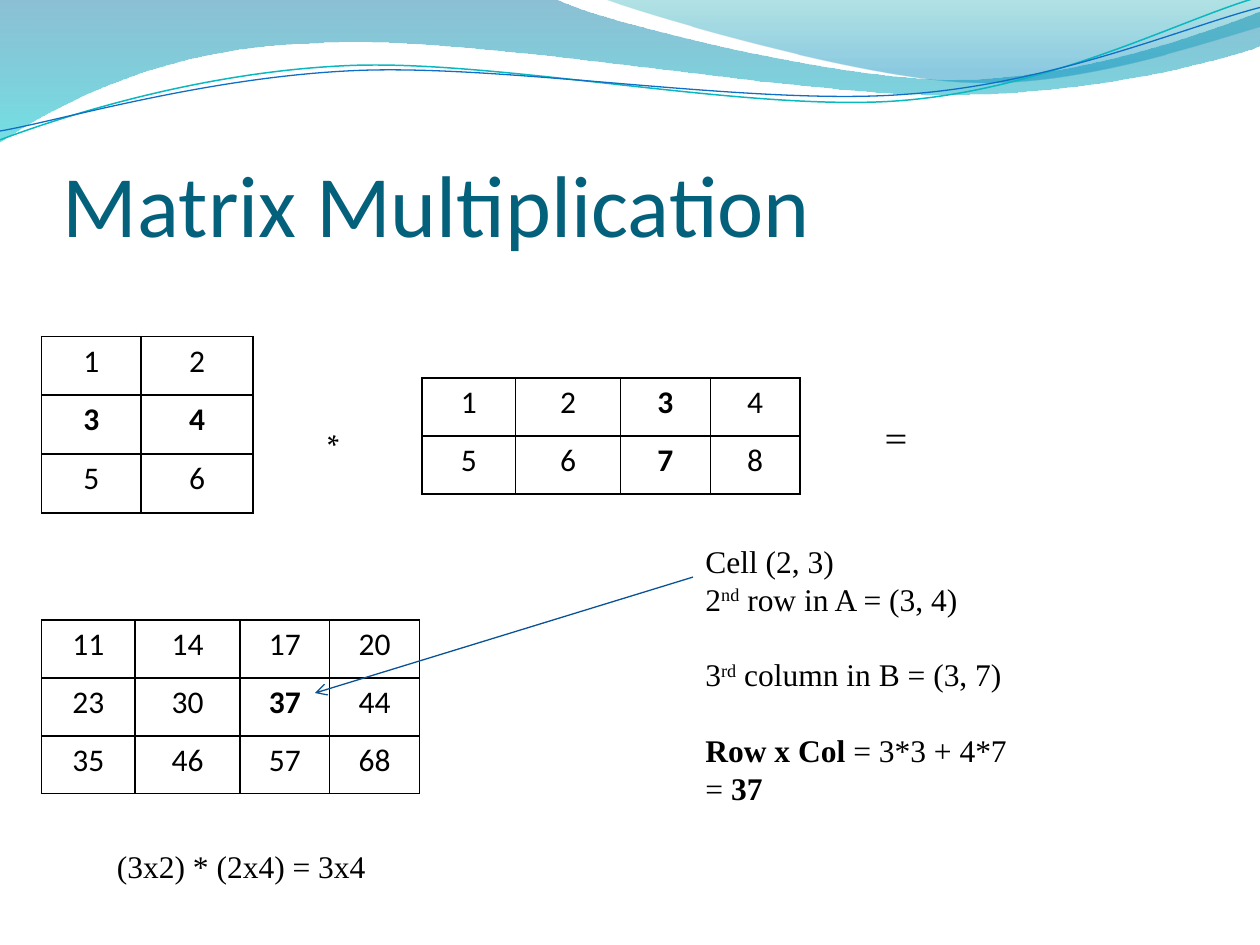
from math import cos, radians, sin

from pptx import Presentation
from pptx.dml.color import RGBColor
from pptx.enum.shapes import MSO_CONNECTOR
from pptx.enum.text import MSO_ANCHOR, MSO_AUTO_SIZE, PP_ALIGN
from pptx.oxml import parse_xml
from pptx.oxml.ns import nsdecls, qn
from pptx.util import Inches, Pt

CURVE_TILT = -2.7
NOTE_FONT = "Times New Roman"
SIGN_FONT = "TeX Gyre Pagella"
NOTE_LINE = Pt(21.6)
WIDE_COLUMNS = [0.74, 0.83, 0.71, 0.71]

# Each outline is a start point, then lines (x, y) and cubic curves (six numbers).
LEFT_WAVE = [
    (0, 0), (4.4, -0.01),
    (4.76, 0.17, 6.64, 0.63, 7.58, 0.63), (8.53, 0.63, 9.58, 0.26, 10, 0.09),
    (10.01, 0.36),
    (9.83, 0.44, 8.7, 0.76, 7.46, 0.75), (6.22, 0.75, 3.82, 0.28, 2.57, 0.34),
    (1.29, 0.36, 0.46, 0.83, -0.01, 1.13), (0, 0),
]
RIGHT_WAVE = [
    (4.79, -0.01),
    (5.09, 0.11, 6.82, 0.62, 7.69, 0.65), (8.56, 0.69, 9.61, 0.32, 10, 0.21),
    (10, 0), (4.79, -0.01),
]
TEAL_CURVE = [
    (0, 1.11),
    (0.48, 0.93, 1.58, 0.57, 2.77, 0.52), (3.95, 0.47, 5.93, 0.89, 7.13, 0.8),
    (8.33, 0.71, 9.38, 0.15, 9.98, -0.02),
]
BLUE_CURVE = [
    (0, 1.04),
    (0.47, 0.96, 1.64, 0.61, 2.83, 0.56), (4.03, 0.51, 5.97, 0.84, 7.17, 0.75),
    (8.36, 0.67, 9.41, 0.21, 10, 0.06),
]


def color(hex_string):
    return RGBColor.from_string(hex_string)


def turn(point, pivot, degrees):
    """Turn a point clockwise about a pivot."""
    angle = radians(degrees)
    x, y = point[0] - pivot[0], point[1] - pivot[1]
    return (pivot[0] + x * cos(angle) - y * sin(angle),
            pivot[1] + x * sin(angle) + y * cos(angle))


def bend_segments(shape, outline):
    """Make each three points of a cubic segment one curve."""
    lines = iter(list(shape._element.iter(qn("a:lnTo"))))
    for segment in outline[1:]:
        first = next(lines)
        if len(segment) == 6:
            curve = parse_xml(f'<a:cubicBezTo {nsdecls("a")}/>')
            first.addprevious(curve)
            for line in (first, next(lines), next(lines)):
                curve.append(line[0])
                line.getparent().remove(line)


def add_outline(slide, outline, close, pivot=(0, 0), tilt=0):
    points = [turn(segment[i:i + 2], pivot, -tilt)
              for segment in outline for i in range(0, len(segment), 2)]
    points = [(Inches(x), Inches(y)) for x, y in points]
    builder = slide.shapes.build_freeform(*points[0])
    builder.add_line_segments(points[1:], close=close)
    shape = builder.convert_to_shape()
    bend_segments(shape, outline)
    shape.rotation = tilt
    shape.shadow.inherit = False
    return shape


def add_wave(slide, outline, stops):
    """Add a filled wave; stops are (position, color, opacity percent)."""
    shape = add_outline(slide, outline, close=True)
    shape.line.fill.background()
    shape.fill.gradient()
    shape.fill.gradient_angle = 270
    for stop, (position, hex_string, _) in zip(shape.fill.gradient_stops, stops):
        stop.position = position
        stop.color.rgb = color(hex_string)
    gradient_colors = shape._element.spPr.iter(qn("a:srgbClr"))
    for element, (_, _, opacity) in zip(gradient_colors, stops):
        element.append(parse_xml(f'<a:alpha {nsdecls("a")} val="{opacity * 1000}"/>'))


def add_curve(slide, outline, pivot, hex_string, width):
    shape = add_outline(slide, outline, False, pivot, CURVE_TILT)
    shape.fill.background()
    shape.line.color.rgb = color(hex_string)
    shape.line.width = Pt(width)


def add_run(paragraph, text, font, size, hex_string="000000", bold=False, raised=False):
    run = paragraph.add_run()
    run.text = text
    run.font.name = font
    run.font.size = Pt(size)
    run.font.bold = bold
    run.font.color.rgb = color(hex_string)
    if raised:
        run.font._element.set("baseline", "30000")


def add_text_box(slide, left, top, width, height):
    box = slide.shapes.add_textbox(Inches(left), Inches(top), Inches(width), Inches(height))
    box.text_frame.word_wrap = False
    box.text_frame.auto_size = MSO_AUTO_SIZE.SHAPE_TO_FIT_TEXT
    return box.text_frame


def add_title(slide, text):
    frame = add_text_box(slide, 0.5, 0.77, 9, 1.25)
    frame.word_wrap = True
    frame.auto_size = MSO_AUTO_SIZE.NONE
    frame.vertical_anchor = MSO_ANCHOR.BOTTOM
    frame.margin_left = frame.margin_right = frame.margin_bottom = 0
    add_run(frame.paragraphs[0], text, "Calibri", 50, "04617B")


def add_sign(slide, text, left, top, width):
    frame = add_text_box(slide, left, top, width, 0.4)
    add_run(frame.paragraphs[0], text, SIGN_FONT, 18)


def add_notes(slide, left, top, width, height, lines):
    """Add lines of (gap before, runs); a run is (text, formatting)."""
    frame = add_text_box(slide, left, top, width, height)
    for index, (gap, runs) in enumerate(lines):
        paragraph = frame.add_paragraph() if index else frame.paragraphs[0]
        paragraph.line_spacing = NOTE_LINE
        if gap:
            paragraph.space_before = NOTE_LINE
        for text, formatting in runs:
            add_run(paragraph, text, NOTE_FONT, 18, **formatting)


def set_borders(cell):
    properties = cell._tc.get_or_add_tcPr()
    for index, side in enumerate(("lnL", "lnR", "lnT", "lnB")):
        properties.insert(index, parse_xml(
            f'<a:{side} {nsdecls("a")} w="12700"><a:solidFill>'
            f'<a:srgbClr val="000000"/></a:solidFill></a:{side}>'))


def add_matrix(slide, box, column_weights, values, bold_values):
    left, top, width, height = (Inches(length) for length in box)
    table = slide.shapes.add_table(
        len(values), len(column_weights), left, top, width, height).table
    table.first_row = table.horz_banding = False
    for column, weight in zip(table.columns, column_weights):
        column.width = round(width * weight / sum(column_weights))
    for row, row_values in zip(table.rows, values):
        row.height = height // len(values)
        for cell, value in zip(row.cells, row_values):
            cell.fill.background()
            set_borders(cell)
            cell.margin_left = cell.margin_right = Inches(0.07)
            cell.margin_top = cell.margin_bottom = 0
            paragraph = cell.text_frame.paragraphs[0]
            paragraph.alignment = PP_ALIGN.CENTER
            paragraph.line_spacing = 1.15
            add_run(paragraph, str(value), "Calibri", 18, bold=value in bold_values)


def add_arrow(slide, start, end):
    arrow = slide.shapes.add_connector(
        MSO_CONNECTOR.STRAIGHT, *(Inches(length) for length in start + end))
    arrow.line.color.rgb = color("095295")
    arrow.line.width = Pt(0.75)
    arrow.line._get_or_add_ln().append(parse_xml(f'<a:tailEnd {nsdecls("a")} type="arrow"/>'))
    arrow._element.spPr.append(parse_xml(f'<a:effectLst {nsdecls("a")}/>'))


def main():
    presentation = Presentation()
    presentation.slide_width, presentation.slide_height = Inches(10), Inches(7.5)
    slide = presentation.slides.add_slide(presentation.slide_layouts[6])
    add_wave(slide, LEFT_WAVE, [(0, "0074A1", 45), (1, "00C6CF", 55)])
    add_wave(slide, RIGHT_WAVE, [(0, "00A1A9", 30), (0.8, "008BBF", 45)])
    add_curve(slide, TEAL_CURVE, (4.99, 0.58), "0AB8BF", 0.85)
    add_curve(slide, BLUE_CURVE, (5, 0.59), "0F6FC6", 0.75)
    add_title(slide, "Matrix Multiplication")

    product = [[11, 14, 17, 20], [23, 30, 37, 44], [35, 46, 57, 68]]
    add_matrix(slide, (0.33, 2.67, 1.68, 1.4), [0.79, 0.89], [[1, 2], [3, 4], [5, 6]], {3, 4})
    add_matrix(slide, (3.35, 3, 3, 0.92), WIDE_COLUMNS, [[1, 2, 3, 4], [5, 6, 7, 8]], {3, 7})
    add_sign(slide, "*", 2.5, 3.33, 0.31)
    add_sign(slide, "=", 6.92, 3.25, 0.34)
    add_matrix(slide, (0.33, 4.92, 3, 1.38), WIDE_COLUMNS, product, {37})
    add_arrow(slide, (5.5, 4.58), (2.5, 5.5))

    bold, raised = {"bold": True}, {"raised": True}
    add_notes(slide, 5.5, 4.25, 2.59, 2.22, [
        (False, [("Cell (2, 3)", {})]),
        (False, [("2", {}), ("nd", raised), (" row in A = (3, 4)", {})]),
        (True, [("3", {}), ("rd", raised), (" column in B = (3, 7)", {})]),
        (True, [("Row x Col ", bold), ("= 3*3 + 4*7", {})]),
        (False, [("= ", {}), ("37", bold)]),
    ])
    add_notes(slide, 0.83, 6.67, 2.18, 0.4, [(False, [("(3x2) * (2x4) = 3x4", {})])])
    presentation.save("out.pptx")


if __name__ == "__main__":
    main()
